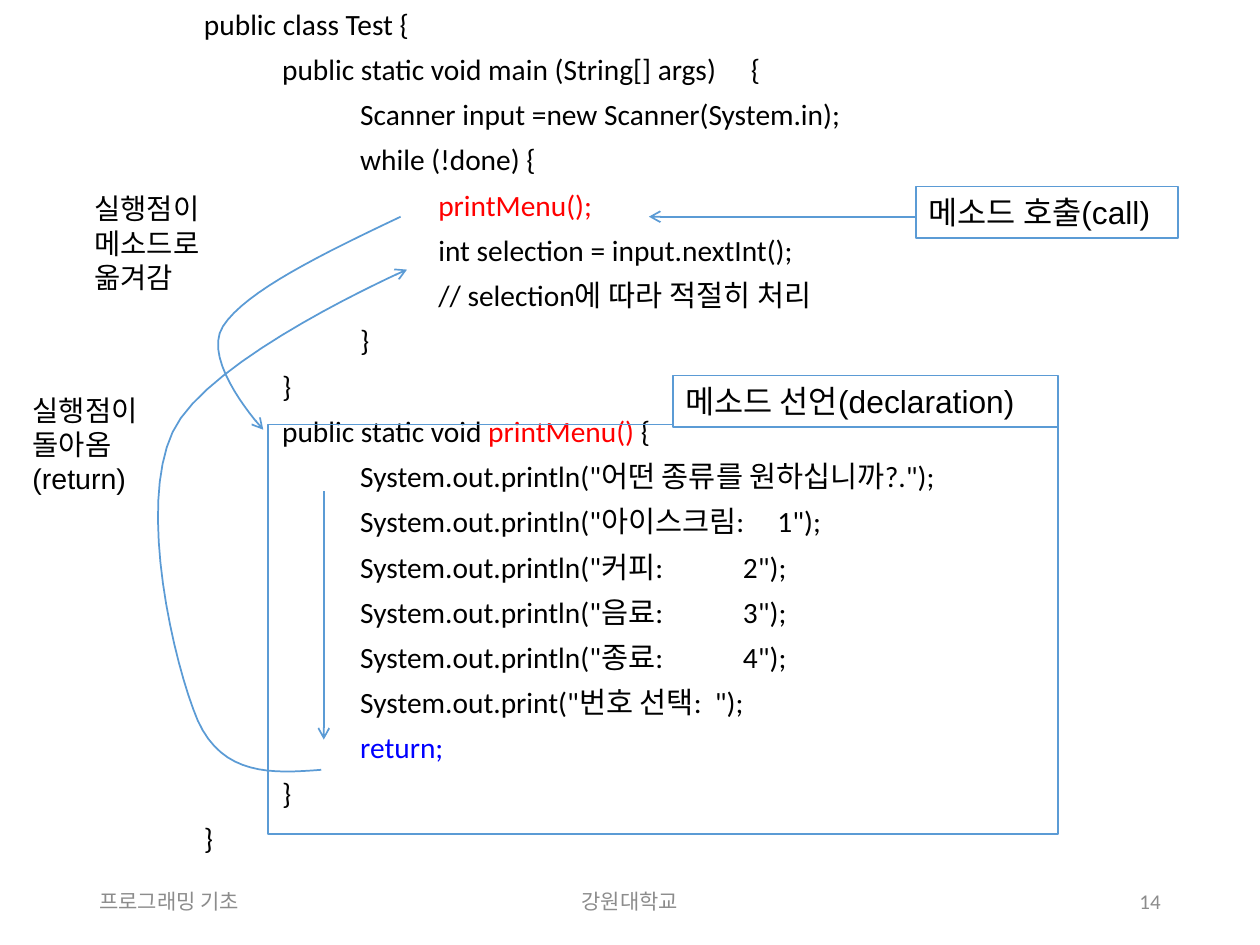
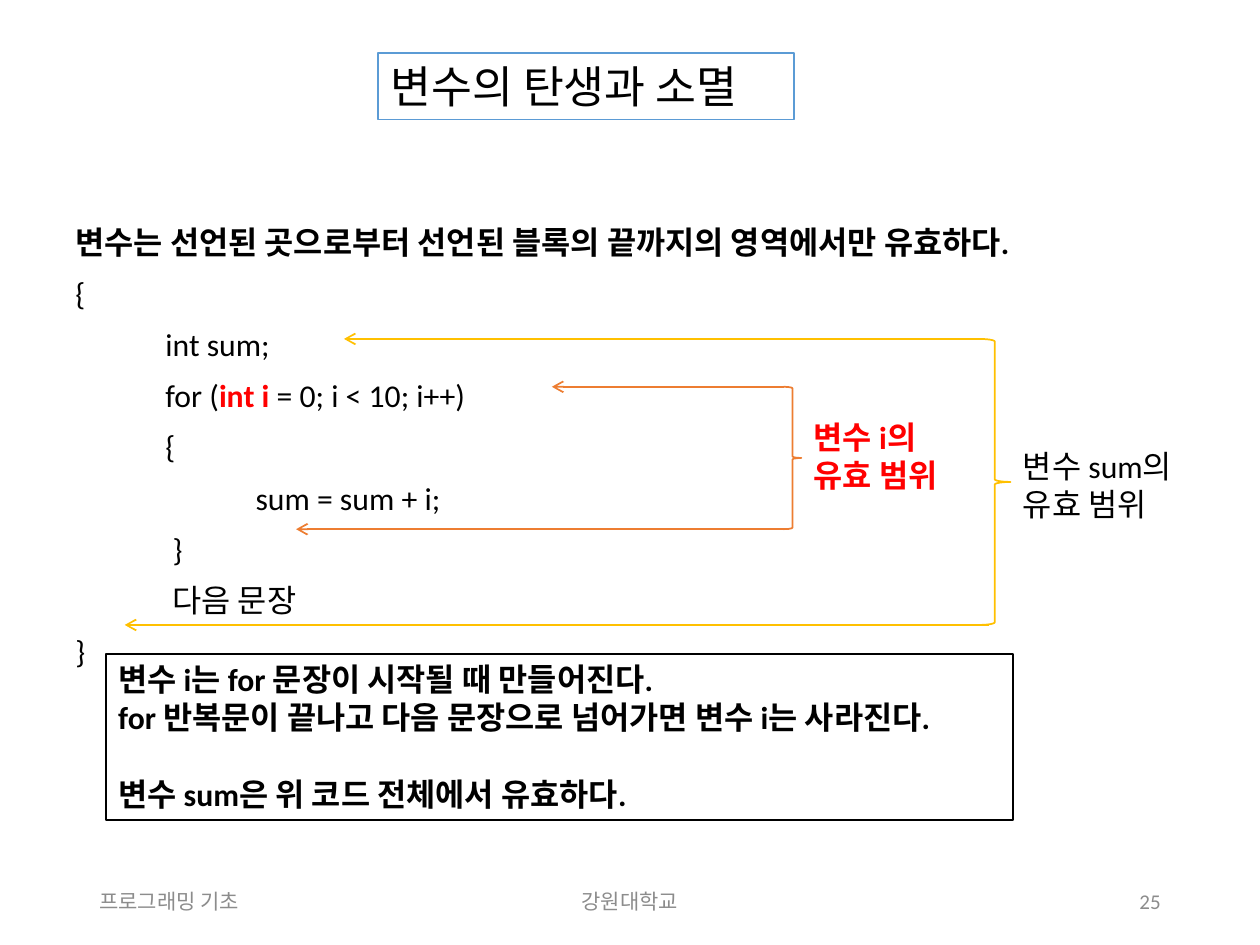
from lxml import etree
from pptx import Presentation
from pptx import util as u
from pptx.dml.color import RGBColor
from pptx.enum import shapes, text
from pptx.oxml.ns import qn

BLACK = RGBColor(0x00, 0x00, 0x00)
WHITE = RGBColor(0xFF, 0xFF, 0xFF)
GRAY = RGBColor(0x8C, 0x8C, 0x8C)
RED = RGBColor(0xFF, 0x00, 0x00)
CODE_BLUE = RGBColor(0x00, 0x00, 0xFF)
BLUE = RGBColor(0x5B, 0x9B, 0xD5)
ORANGE = RGBColor(0xED, 0x7D, 0x31)
GOLD = RGBColor(0xFF, 0xC0, 0x00)

COLUMNS, ROWS = 100, 75
CELL = u.Inches(0.1)
CURVE_STEPS = 16
TAB_COUNT = 7


def cells(*counts):
    """Turn counts of grid cells into lengths."""
    return [u.Emu(round(count * CELL)) for count in counts]


def set_tabs(para, step):
    """Put evenly spaced tab stops, step cells apart, on a paragraph."""
    stops = etree.SubElement(para._p.get_or_add_pPr(), qn("a:tabLst"))
    for number in range(1, TAB_COUNT + 1):
        stop = etree.SubElement(stops, qn("a:tab"))
        stop.set("pos", str(cells(number * step)[0]))
        stop.set("algn", "l")


def write(frame, lines, *, font="Calibri", size=18.1, color=BLACK, bold=False,
          align=text.PP_ALIGN.LEFT, anchor=text.MSO_ANCHOR.TOP, wrap=False,
          spacing=None, gap=None, gaps=None, tab_step=None):
    """Fill a frame; a line is a string or a list of (text, format) spans.

    gap is the space before every later line, gaps overrides it by line index.
    """
    frame.word_wrap = wrap
    frame.vertical_anchor = anchor
    for index, line in enumerate(lines):
        para = frame.add_paragraph() if index else frame.paragraphs[0]
        para.alignment = align
        if spacing:
            para.line_spacing = spacing
        before = (gaps or {}).get(index, gap)
        if index and before:
            para.space_before = u.Pt(before)
        if tab_step:
            set_tabs(para, tab_step)
        for words, look in [(line, {})] if isinstance(line, str) else line:
            span = para.add_run()
            span.text = words
            span.font.name = font
            span.font.size = u.Pt(size)
            span.font.bold = look.get("bold", bold)
            span.font.color.rgb = look.get("color", color)


def bezier(start, first, second, end, share):
    """Point at a share of the way along a cubic curve."""
    rest = 1 - share
    return tuple(rest ** 3 * a + 3 * rest ** 2 * share * b
                 + 3 * rest * share ** 2 * c + share ** 3 * d
                 for a, b, c, d in zip(start, first, second, end))


class Lecture:
    """The deck's style and the slide being built."""

    def __init__(self):
        self.deck = Presentation()
        self.deck.slide_width, self.deck.slide_height = cells(COLUMNS, ROWS)
        self.page = None

    def new_page(self, number):
        self.page = self.deck.slides.add_slide(self.deck.slide_layouts[6])
        footers = (
            (6.9, 22.5, "프로그래밍 기초", text.PP_ALIGN.LEFT),
            (33.1, 33.8, "강원대학교", text.PP_ALIGN.CENTER),
            (70.6, 22.5, str(number), text.PP_ALIGN.RIGHT),
        )
        for left, width, words, align in footers:
            self.label((left, 69.5, width, 4), [words], size=12, color=GRAY,
                       align=align, anchor=text.MSO_ANCHOR.MIDDLE, wrap=True)

    def label(self, place, lines, **look):
        box = self.page.shapes.add_textbox(*cells(*place))
        write(box.text_frame, lines, **look)

    def code(self, place, lines, **look):
        self.label(place, lines, wrap=True, gap=9.7, **look)

    def shape(self, kind, place, fill=None, line=None):
        box = self.page.shapes.add_shape(kind, *cells(*place))
        box.shadow.inherit = False
        self.paint(box, fill)
        if line is None:
            box.line.fill.background()
        else:
            self.stroke(box, line)
        return box

    def box(self, place, lines=(), fill=WHITE, line=BLUE, **look):
        box = self.shape(shapes.MSO_SHAPE.RECTANGLE, place, fill, line)
        if lines:
            write(box.text_frame, lines, **look)

    def paint(self, box, fill):
        if fill is None:
            box.fill.background()
        else:
            box.fill.solid()
            box.fill.fore_color.rgb = fill

    def stroke(self, item, color, arrow=False):
        item.line.color.rgb = color
        item.line.width = u.Pt(1)
        if arrow:
            outline = item.line._get_or_add_ln()
            etree.SubElement(outline, qn("a:tailEnd")).set("type", "arrow")

    def arrow(self, start, end, color=BLUE):
        line = self.page.shapes.add_connector(
            shapes.MSO_CONNECTOR.STRAIGHT, *cells(*start, *end))
        self.stroke(line, color, arrow=True)
        etree.SubElement(line._element.spPr, qn("a:effectLst"))

    def curved_arrow(self, start, *curves):
        """Draw joined cubic curves, each given as two controls and an end."""
        points, here = [], start
        for first, second, end in curves:
            points += [bezier(here, first, second, end, step / CURVE_STEPS)
                       for step in range(1, CURVE_STEPS + 1)]
            here = end
        builder = self.page.shapes.build_freeform(*cells(*start))
        builder.add_line_segments([cells(*point) for point in points], close=False)
        curve = builder.convert_to_shape()
        curve.shadow.inherit = False
        self.paint(curve, None)
        self.stroke(curve, BLUE, arrow=True)

    def scope(self, place, top_end, bottom_end, overlap, color):
        """Draw a brace with arrows running left from its two tips."""
        left, top, _, height = place
        bottom = top + height
        self.shape(shapes.MSO_SHAPE.RIGHT_BRACE, place, line=color)
        self.arrow((left, top), (top_end, top), color)
        self.arrow((left + overlap, bottom), (bottom_end, bottom), color)


def build_call_page(lecture):
    lecture.new_page(14)
    red, blue = {"color": RED}, {"color": CODE_BLUE}
    lecture.code((15.2, 0.5, 77.9, 69.5), [
        "public class Test {",
        "\tpublic static void main (String[] args)\t{",
        "\t\tScanner input =new Scanner(System.in);",
        "\t\twhile (!done) {",
        [("\t\t\tprintMenu();", red)],
        "\t\t\tint selection = input.nextInt();",
        "\t\t\t// selection에 따라 적절히 처리",
        "\t\t}",
        "\t}",
        [("\tpublic static void ", {}), ("printMenu() ", red), ("{", {})],
        "\t\tSystem.out.println(\"어떤 종류를 원하십니까?.\");",
        "\t\tSystem.out.println(\"아이스크림:     1\");",
        "\t\tSystem.out.println(\"커피:            2\");",
        "\t\tSystem.out.println(\"음료:            3\");",
        "\t\tSystem.out.println(\"종료:            4\");",
        "\t\tSystem.out.print(\"번호 선택:  \");",
        [("\t\treturn;", blue)],
        "\t}",
        "}",
    ], size=16.8, spacing=0.8, tab_step=6.2)

    lecture.arrow((25.7, 39), (25.7, 58.7))
    note = {"font": "Arial", "size": 16.3}
    lecture.label((6.5, 14.7, 12, 9.3), ["실행점이", "메소드로", "옮겨감"], **note)
    lecture.box((1.6, 30.7, 12, 9.3), ["실행점이", "돌아옴", "(return)"],
                line=None, **note)
    lecture.curved_arrow(
        (25.5, 61.1),
        ((21.6, 61.4), (17.7, 61.6), (15.7, 57.2)),
        ((13.8, 52.7), (10.9, 40.3), (13.7, 34.3)),
        ((16.4, 28.4), (32.3, 21.4), (32.3, 21.4)))
    lecture.curved_arrow(
        (31.8, 17.2),
        ((25.7, 20.1), (19.5, 23.1), (17.7, 25.9)),
        ((15.9, 28.7), (20.9, 34.1), (20.9, 34.1)))

    tag = {"font": "Arial", "size": 18.1}
    lecture.box((72.7, 14.8, 20.8, 4.1), ["메소드 호출(call)"], **tag)
    lecture.arrow((72.7, 17.2), (51.5, 17.2))
    lecture.box((21.3, 33.7, 62.7, 32.5), fill=None)
    lecture.box((53.4, 29.8, 30.6, 4.1), ["메소드 선언(declaration)"], **tag)


def build_scope_page(lecture):
    lecture.new_page(25)
    lecture.code((5, 17.5, 90, 42.8), [
        [("변수는 선언된 곳으로부터 선언된 블록의 끝까지의 영역에서만 유효하다.",
          {"bold": True})],
        "{",
        "\tint sum;",
        [("\tfor (", {}), ("int i ", {"color": RED, "bold": True}),
         ("= 0; i < 10; i++)", {})],
        "\t{",
        "\t\tsum = sum + i;",
        "\t }",
        "\t 다음 문장",
        "}",
    ], spacing=0.9, tab_step=7.15)

    lecture.scope((62.2, 30.7, 1.4, 11.3), 43.8, 23.5, 0.4, ORANGE)
    lecture.label((63.6, 32.7, 12.6, 7.1), ["변수 i의", "유효 범위"],
                  color=RED, bold=True)
    lecture.box((8.4, 51.9, 72, 13.2), [
        "변수 i는 for 문장이 시작될 때 만들어진다.",
        "for 반복문이 끝나고 다음 문장으로 넘어가면 변수 i는 사라진다.",
        "변수 sum은 위 코드 전체에서 유효하다.",
    ], line=BLACK, bold=True, gaps={2: 22})
    lecture.box((30, 4.2, 33, 5.3), ["변수의 탄생과 소멸"], font="Arial", size=25.4)
    lecture.scope((77.7, 26.9, 2.5, 22.7), 27.3, 9.9, 0.8, GOLD)
    lecture.label((80.2, 35, 15.2, 7.1), ["변수 sum의", "유효 범위"])


def main():
    lecture = Lecture()
    build_call_page(lecture)
    build_scope_page(lecture)
    lecture.deck.save("out.pptx")


if __name__ == "__main__":
    main()
